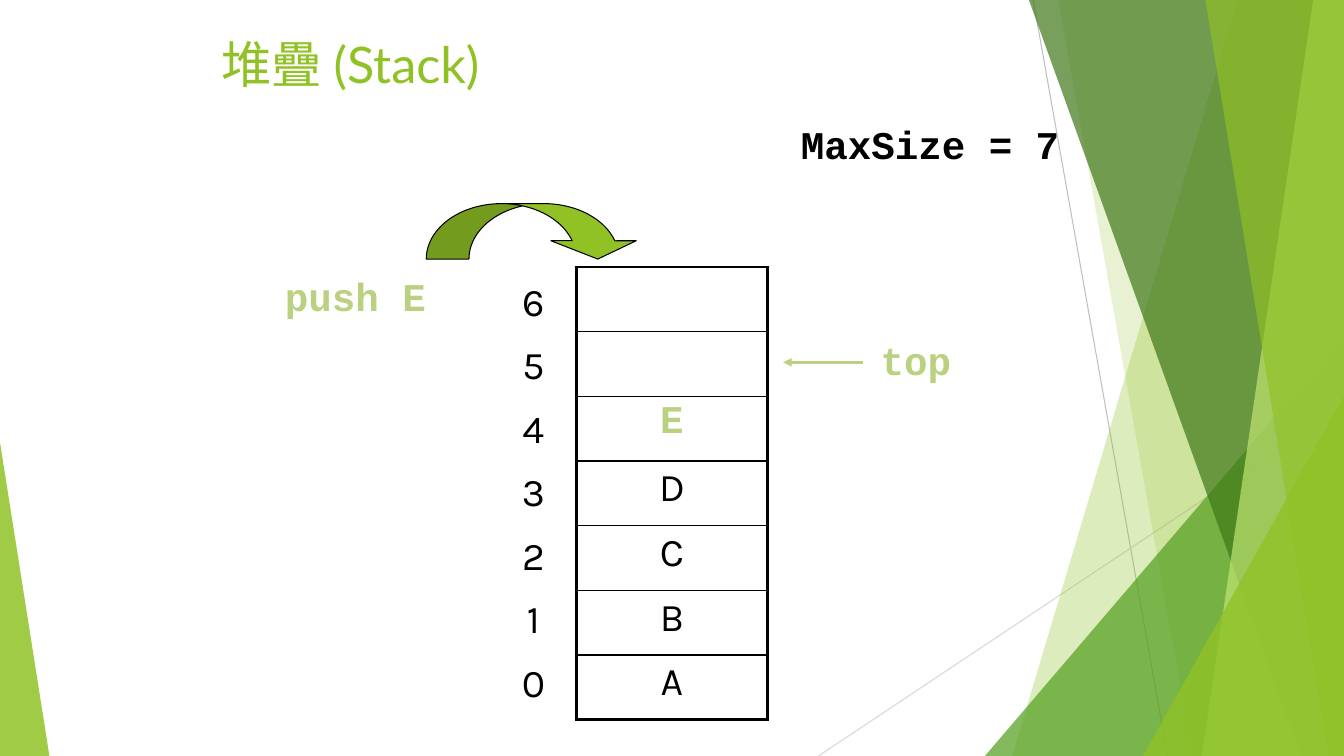
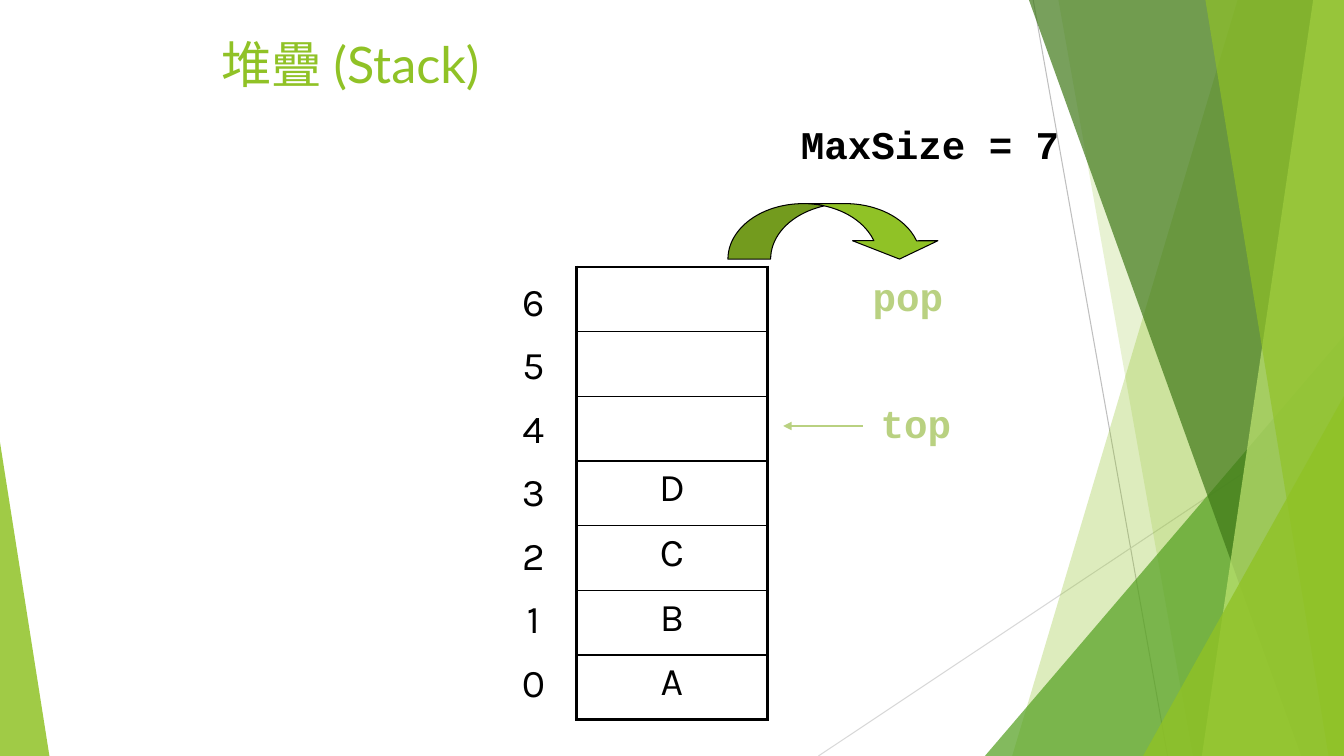
from collections import namedtuple
from dataclasses import dataclass

from lxml.etree import SubElement
from pptx import Presentation
from pptx.dml.color import RGBColor
from pptx.enum.shapes import MSO_CONNECTOR as Connector
from pptx.enum.shapes import MSO_SHAPE as Preset
from pptx.enum.text import MSO_ANCHOR as Anchor
from pptx.enum.text import PP_ALIGN as Align
from pptx.oxml import parse_xml
from pptx.oxml.ns import nsdecls, qn
from pptx.util import Pt

Box = namedtuple("Box", "left top width height")
TextStyle = namedtuple("TextStyle", "font size color bold")


@dataclass(frozen=True)
class Theme:
    """Colours and type styles shared by the slides."""
    lime: str = "90C226"
    green: str = "54A021"
    forest: str = "3F7818"
    pale_lime: str = "BFE471"
    accent: str = "B9D181"
    black: str = "000000"
    dark_rule: str = "BFBFBF"
    light_rule: str = "D8D8D8"
    title_cjk: TextStyle = TextStyle("Arial", 36, "90C226", False)
    title_latin: TextStyle = TextStyle("Lato", 36, "90C226", False)
    cell: TextStyle = TextStyle("Karla", 28, "000000", False)
    code: TextStyle = TextStyle("Courier New", 28, "000000", True)
    code_accent: TextStyle = TextStyle("Courier New", 28, "B9D181", True)


THEME = Theme()
PAGE = Box(0, 0, 960, 540)
TITLE = Box(151, 20, 648, 79)
STACK = Box(412, 190.75, 136, 323.4)
CAPACITY = 7
INDEX_PITCH = 45.4
INDEX_TOP_GAP = 5.75


def points(box):
    """Convert the numbers of a box to lengths."""
    return [Pt(value) for value in box]


def style_run(run, style):
    """Apply a text style to a run."""
    run.font.name = style.font
    run.font.size = Pt(style.size)
    run.font.bold = style.bold
    run.font.color.rgb = RGBColor.from_string(style.color)


def add_line(shapes, start, end, color, width, arrow=False):
    """Draw a straight line, with an optional arrowhead at its end."""
    line = shapes.add_connector(Connector.STRAIGHT, *points(start + end))
    line.line.color.rgb = RGBColor.from_string(color)
    line.line.width = Pt(width)
    properties = line.element.spPr
    if arrow:
        SubElement(properties.find(qn("a:ln")), qn("a:tailEnd"), type="triangle")
    SubElement(properties, qn("a:effectLst"))


def fill_facet(shape, color, opacity):
    """Give a facet a translucent fill without outline or shadow."""
    shape.shadow.inherit = False
    shape.line.fill.background()
    shape.fill.solid()
    shape.fill.fore_color.rgb = RGBColor.from_string(color)
    color_node = shape.element.spPr.find(".//" + qn("a:srgbClr"))
    SubElement(color_node, qn("a:alpha"), val=str(opacity * 1000))


def add_band(shapes, box, top_x, bottom_x, color, opacity):
    """Draw a slanted band that reaches the right edge of the box."""
    right, bottom = box.left + box.width, box.top + box.height
    builder = shapes.build_freeform(Pt(top_x), Pt(box.top), scale=1.0)
    corners = [(right, box.top), (right, bottom), (bottom_x, bottom)]
    builder.add_line_segments([(Pt(x), Pt(y)) for x, y in corners])
    fill_facet(builder.convert_to_shape(), color, opacity)


def add_corner(shapes, box, apex, color, opacity):
    """Draw a right triangle with its apex at the left (0) or right (1)."""
    triangle = shapes.add_shape(Preset.ISOSCELES_TRIANGLE, *points(box))
    triangle.adjustments[0] = apex
    fill_facet(triangle, color, opacity)


def add_backdrop(slide, box):
    """Draw the facets and move them to the layout the slides share."""
    group = slide.shapes.add_group_shape()
    shapes = group.shapes
    right, bottom = box.left + box.width, box.top + box.height
    add_line(shapes, (738, box.top), (834, bottom), THEME.dark_rule, 0.75)
    add_line(shapes, (right, 290), (584.6, bottom), THEME.light_rule, 0.75)
    add_band(shapes, box, 884, 723, THEME.lime, 30)
    add_band(shapes, box, 756, 852, THEME.lime, 20)
    add_corner(shapes, Box(703.5, 240, 256.5, 300), 1, THEME.green, 72)
    add_band(shapes, box, 735, 929.5, THEME.forest, 70)
    add_band(shapes, box, 938, 858.5, THEME.pale_lime, 70)
    add_band(shapes, box, 861, 949, THEME.lime, 65)
    add_corner(shapes, Box(816.5, 283, 143.5, 257), 1, THEME.lime, 80)
    add_corner(shapes, Box(box.left, 316, 35.3, 224), 0, THEME.lime, 85)
    for number, node in enumerate(group.element.iter(qn("p:cNvPr")), 100):
        node.set("id", str(number))
    slide.slide_layout.shapes.element.insert(2, group.element)


def set_title(slide, box):
    """Place the title and write it in its two fonts."""
    title = slide.shapes.title
    title.left, title.top, title.width, title.height = points(box)
    title.text_frame.vertical_anchor = Anchor.TOP
    paragraph = title.text_frame.paragraphs[0]
    paragraph.alignment = Align.LEFT
    for text, style in (("堆疊", THEME.title_cjk), (" (Stack)", THEME.title_latin)):
        run = paragraph.add_run()
        run.text = text
        style_run(run, style)


def add_label(slide, box, text, style):
    """Add a one-line text box."""
    frame = slide.shapes.add_textbox(*points(box)).text_frame
    frame.word_wrap = True
    frame.text = text
    style_run(frame.paragraphs[0].runs[0], style)


def add_column(slide, box, texts, accent=None):
    """Add a plain one-column table and return its cells."""
    table = slide.shapes.add_table(len(texts), 1, *points(box)).table
    table.first_row = table.horz_banding = False
    cells = [table.cell(row, 0) for row in range(len(texts))]
    for cell, text in zip(cells, texts):
        cell.fill.background()
        if text:
            cell.text = text
            paragraph = cell.text_frame.paragraphs[0]
            paragraph.alignment = Align.CENTER
            style = THEME.code_accent if text == accent else THEME.cell
            style_run(paragraph.runs[0], style)
    return cells


def set_borders(cell, top, bottom, side=2.25):
    """Draw black borders of the given widths around a cell."""
    properties = cell._tc.get_or_add_tcPr()
    widths = {"lnL": side, "lnR": side, "lnT": top, "lnB": bottom}
    for position, (tag, width) in enumerate(widths.items()):
        properties.insert(position, parse_xml(
            f'<a:{tag} {nsdecls("a")} w="{Pt(width)}"><a:solidFill>'
            f'<a:srgbClr val="{THEME.black}"/></a:solidFill></a:{tag}>'))


def add_stack(slide, box, items, accent):
    """Draw the stack, lowest item at the bottom, and its slot numbers."""
    index_box = Box(box.left - 57, box.top + INDEX_TOP_GAP, 52,
                    CAPACITY * INDEX_PITCH)
    add_column(slide, index_box, [str(slot) for slot in reversed(range(CAPACITY))])
    contents = [""] * (CAPACITY - len(items)) + list(reversed(items))
    for row, cell in enumerate(add_column(slide, box, contents, accent)):
        set_borders(cell, 2.25 if row == 0 else 1,
                    2.25 if row == CAPACITY - 1 else 1)


def add_top_pointer(slide, box, slot):
    """Point from the right of the stack at the slot that is top."""
    y = box.top + (CAPACITY - slot - 0.5) * INDEX_PITCH
    right = box.left + box.width
    add_label(slide, Box(right + 74, y - 22.5, 102, 41), "top", THEME.code_accent)
    add_line(slide.shapes, (right + 68.3, y), (right + 11.4, y),
             THEME.accent, 2, arrow=True)


def add_curved_arrow(slide, box):
    """Draw the arrow that carries an item in or out."""
    arrow = slide.shapes.add_shape(Preset.CURVED_DOWN_ARROW, *points(box))
    for position, value in enumerate((0.77, 1.54, 0.33)):
        arrow.adjustments[position] = value
    arrow.shadow.inherit = False
    arrow.fill.solid()
    arrow.fill.fore_color.rgb = RGBColor.from_string(THEME.lime)
    arrow.line.color.rgb = RGBColor.from_string(THEME.black)
    arrow.line.width = Pt(0.75)


def add_stack_slide(slide, box, items, operation, label_x, arrow_x, accent=None):
    """Show a stack after an operation, around the given stack box."""
    set_title(slide, TITLE)
    add_stack(slide, box, items, accent)
    add_top_pointer(slide, box, len(items))
    add_label(slide, Box(box.left + 153, box.top - 108, 215, 41),
              "MaxSize = 7", THEME.code)
    add_label(slide, Box(box.left + label_x, box.top, 130, 41),
              operation, THEME.code_accent)
    add_curved_arrow(slide, Box(box.left + arrow_x, box.top - 45.3, 153, 39.6))


def main():
    """Build and save the presentation."""
    presentation = Presentation()
    presentation.slide_width = Pt(PAGE.width)
    presentation.slide_height = Pt(PAGE.height)
    layout = presentation.slide_layouts.get_by_name("Title Only")
    push_slide, pop_slide = [presentation.slides.add_slide(layout) for _ in range(2)]
    add_backdrop(push_slide, PAGE)
    add_stack_slide(push_slide, STACK, "ABCDE", "push E", -215.5, -107.5, accent="E")
    add_stack_slide(pop_slide, STACK, "ABCD", "pop", 204.3, 108)
    presentation.save("out.pptx")


main()
